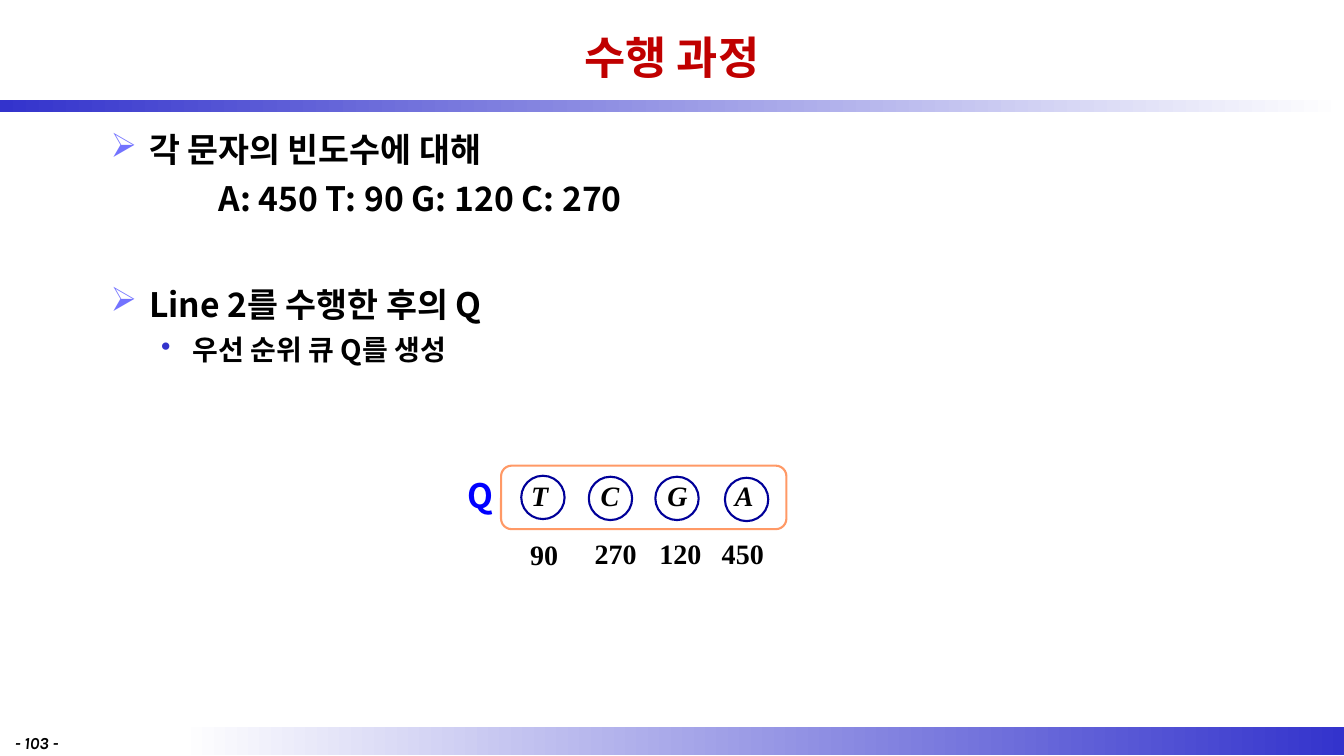
from dataclasses import dataclass

from lxml import etree
from pptx import Presentation
from pptx.dml.color import RGBColor as RGB
from pptx.enum.shapes import MSO_SHAPE as SHAPE
from pptx.enum.text import MSO_ANCHOR as ANCHOR, PP_ALIGN as ALIGN
from pptx.oxml.ns import qn
from pptx.util import Inches, Pt


@dataclass(frozen=True)
class Theme:
    sans: str = "Noto Sans CJK KR"
    serif: str = "Times New Roman"
    footer_font: str = "Karla"
    title_size: int = 32
    body_size: int = 24
    small_size: int = 20
    footer_size: int = 12
    title: str = "C00000"
    text: str = "000000"
    white: str = "FFFFFF"
    band: str = "3333CC"
    arrow_bullet: str = "7373FF"
    queue_name: str = "0000FF"
    node: str = "000099"
    queue: str = "FF9966"


theme = Theme()


def style(paragraph, size, face=theme.sans, color=theme.text, italic=False):
    """Set the bold paragraph font for Latin and Korean text alike."""
    font = paragraph.font
    font.name, font.size = face, Pt(size)
    font.bold, font.italic = True, italic
    font.color.rgb = RGB.from_string(color)
    latin = paragraph._p.pPr.find(qn("a:defRPr")).find(qn("a:latin"))
    east_asian = etree.Element(qn("a:ea"), typeface=face)
    latin.addnext(east_asian)


def add_label(shapes, text, box, size, wrap=True, **font):
    """Add a one-paragraph text box and return its frame."""
    frame = shapes.add_textbox(*map(Inches, box)).text_frame
    frame.word_wrap = wrap
    frame.text = text
    style(frame.paragraphs[0], size, **font)
    return frame


presentation = Presentation()
presentation.slide_width = Inches(13.33)
presentation.slide_height = Inches(7.5)
slide = presentation.slides.add_slide(presentation.slide_layouts[6])

# Gradient bands
bands = [
    ((1.78, 7.21, 11.56, 0.28), (theme.white, theme.band)),
    ((0, 0.99, 13.33, 0.12), (theme.band, theme.white)),
]
for box, colors in bands:
    band = slide.shapes.add_shape(SHAPE.RECTANGLE, *map(Inches, box))
    band.shadow.inherit = False
    band.line.fill.background()
    band.fill.gradient()
    band.fill.gradient_angle = 0
    for stop, position, color in zip(band.fill.gradient_stops, (0, 1), colors):
        stop.position = position
        stop.color.rgb = RGB.from_string(color)

# Title and page number
title = add_label(slide.shapes, "수행 과정", (1, 0.05, 11.33, 1.03),
                  theme.title_size, color=theme.title)
title.vertical_anchor = ANCHOR.MIDDLE
title.paragraphs[0].alignment = ALIGN.CENTER
add_label(slide.shapes, "- 103 -", (0.05, 7.22, 0.95, 0.24),
          theme.footer_size, face=theme.footer_font, italic=True)

# Body: text, left margin, first-line indent, bullet, bullet colour, size, space after
body_lines = [
    ("각 문자의 빈도수에 대해", 0.38, -0.38, "➢", theme.arrow_bullet, theme.body_size, 6),
    ("A: 450 T: 90 G: 120 C: 270", 1.07, 0, None, None, theme.body_size, 47),
    ("Line 2를 수행한 후의 Q", 0.38, -0.38, "➢", theme.arrow_bullet, theme.body_size, 6),
    ("우선 순위 큐 Q를 생성", 0.81, -0.31, "•", theme.band, theme.small_size, 6),
]
body = slide.shapes.add_textbox(*map(Inches, (1, 1.23, 11.33, 5.98))).text_frame
body.word_wrap = True
for index, (text, margin, indent, bullet, color, size, after) in enumerate(body_lines):
    paragraph = body.add_paragraph() if index else body.paragraphs[0]
    paragraph.text = text
    paragraph.level = 1 if size == theme.small_size else 0
    paragraph.space_after = Pt(after)
    properties = paragraph._p.get_or_add_pPr()
    properties.set("marL", str(Inches(margin)))
    properties.set("indent", str(Inches(indent)))
    if bullet:
        bullet_color = etree.SubElement(properties, qn("a:buClr"))
        etree.SubElement(bullet_color, qn("a:srgbClr"), val=color)
        etree.SubElement(properties, qn("a:buChar"), char=bullet)
    style(paragraph, size)

# Priority queue: letter, letter box, frequency, frequency box, circle corner
nodes = [
    ("T", (5.17, 4.7, 0.36, 0.44), "90", (5.16, 5.28, 0.48, 0.44), (5.17, 4.72)),
    ("C", (5.86, 4.7, 0.33, 0.44), "270", (5.8, 5.27, 0.62, 0.44), (5.84, 4.73)),
    ("G", (6.52, 4.7, 0.33, 0.44), "120", (6.44, 5.27, 0.62, 0.44), (6.5, 4.73)),
    ("A", (7.19, 4.7, 0.39, 0.44), "450", (7.06, 5.27, 0.62, 0.44), (7.19, 4.74)),
]
diameter = 0.43
queue = slide.shapes.add_group_shape().shapes
outlines = [(SHAPE.ROUNDED_RECTANGLE, (4.97, 4.62, 2.83, 0.63), theme.queue)]
for letter, letter_box, frequency, frequency_box, corner in nodes:
    add_label(queue, letter, letter_box, theme.small_size, face=theme.serif, italic=True)
    add_label(queue, frequency, frequency_box, theme.small_size, wrap=False,
              face=theme.serif)
    outlines.append((SHAPE.OVAL, (*corner, diameter, diameter), theme.node))
for kind, box, color in outlines:
    outline = queue.add_shape(kind, *map(Inches, box))
    outline.shadow.inherit = False
    outline.fill.background()
    outline.line.color.rgb = RGB.from_string(color)
    outline.line.width = Pt(1.5)
add_label(queue, "Q", (4.54, 4.66, 0.32, 0.51), theme.body_size, color=theme.queue_name)

presentation.save("out.pptx")
